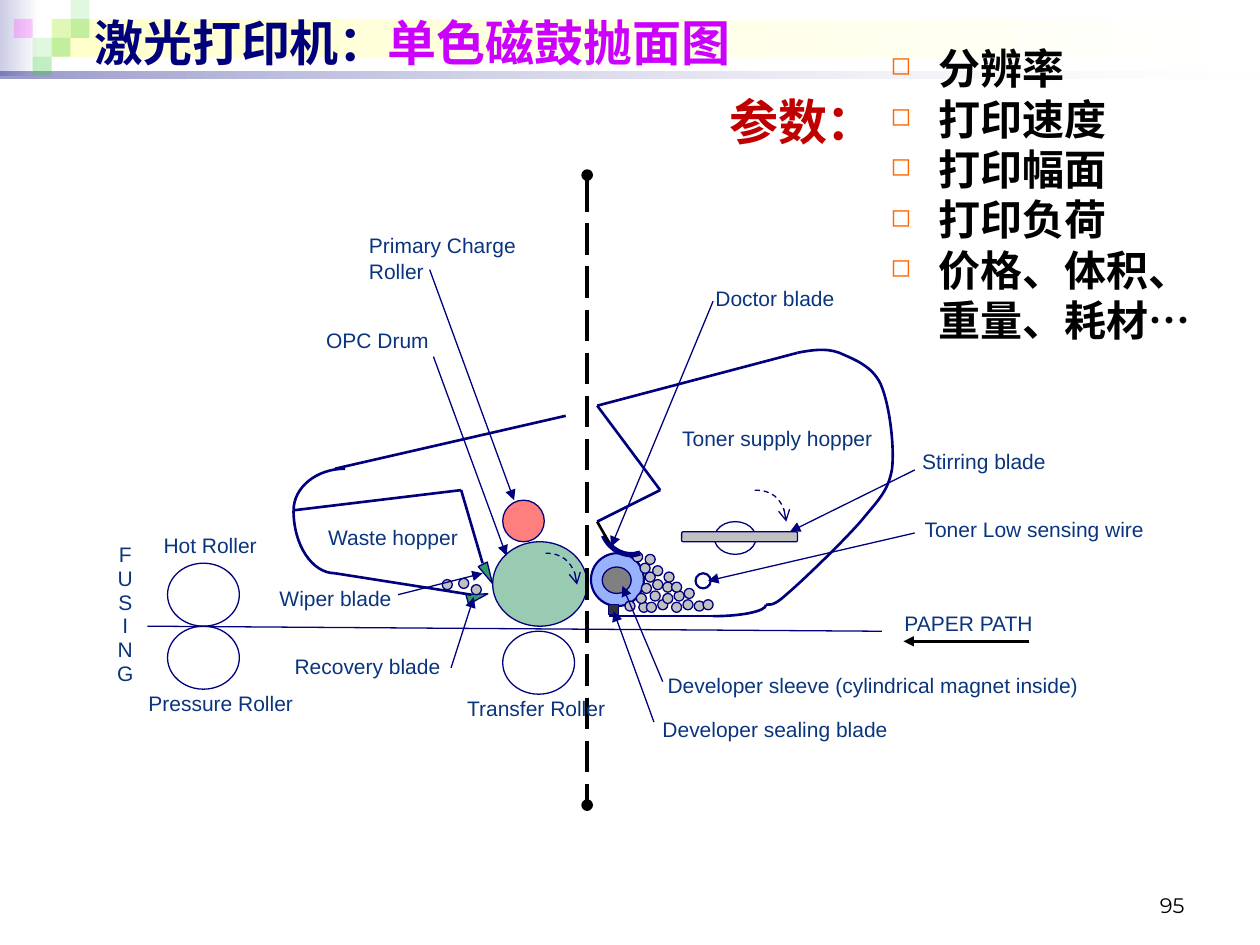
import pptx
import pptx.util
import pptx.dml.color
import pptx.enum.dml
import pptx.enum.shapes
import pptx.enum.text
from lxml import etree

Inches, Pt = pptx.util.Inches, pptx.util.Pt
SHAPE = pptx.enum.shapes.MSO_SHAPE
DASH = pptx.enum.dml.MSO_LINE
ALIGN, ANCHOR = pptx.enum.text.PP_ALIGN, pptx.enum.text.MSO_ANCHOR
CJK = "Noto Sans CJK SC"
NAVY, INK, GREY, GREEN = "00007D", "0A357E", "C0C0C0", "339966"

# Header band: gradient bars (box, stops as colour and opacity) and squares (column, row)
BARS = [((0, 0, 0.31, 0.6), [("CCCCE6", 100), ("FFFFFF", 100)]),
        ((0.41, 0.15, 9.55, 0.3), [("FFFFCC", 100), ("FFFFFF", 100)]),
        ((0, 0.57, 10, 0.05), [(NAVY, 40), ("FFFFFF", 10)])]
SQUARES = [(2, 1, "33CC33", 15), (3, 0, "33CC33", 15), (3, 1, "33CC33", 30),
           (1, 2, "33CC33", 15), (0, 1, "FF00FF", 20), (2, 2, "33CC33", 30),
           (1, 3, "33CC33", 30)]

TITLE = [("激光打印机：", NAVY), ("单色磁鼓抛面图", "CC00FF")]
PARAMETERS = ["分辨率", "打印速度", "打印幅面", "打印负荷", "价格、体积、\v重量、耗材"]

# Machine parts: shape, box, fill, opacity, line width, rotation
PARTS = [
    (SHAPE.OVAL, (3.91, 4.3, 0.75, 0.67), GREEN, 50, 0.75, 0),      # drum
    (SHAPE.OVAL, (3.99, 3.97, 0.33, 0.33), "FF0000", 50, 0.75, 0),  # charge roller
    (SHAPE.OVAL, (4.69, 4.39, 0.42, 0.42), "3366FF", 50, 1.25, 0),  # sleeve
    (SHAPE.OVAL, (4.78, 4.5, 0.23, 0.21), "808080", 100, 0.75, 0),  # magnet
    (SHAPE.OVAL, (3.99, 5.01, 0.57, 0.5), None, 100, 0.75, 0),      # transfer roller
    (SHAPE.OVAL, (1.33, 4.97, 0.57, 0.5), None, 100, 0.75, 0),      # pressure roller
    (SHAPE.OVAL, (1.33, 4.47, 0.57, 0.5), None, 100, 0.75, 0),      # hot roller
    (SHAPE.OVAL, (5.67, 4.14, 0.33, 0.26), None, 100, 0.75, 0),     # stirring shaft
    (SHAPE.ROUNDED_RECTANGLE, (5.41, 4.22, 0.92, 0.08), GREY, 100, 0.75, 0),
    (SHAPE.OVAL, (5.52, 4.55, 0.12, 0.12), None, 100, 1.25, 0),     # sensing wire
    (SHAPE.FLOWCHART_MERGE, (3.83, 4.47, 0.08, 0.17), GREEN, 100, 0.75, 333),
    (SHAPE.FLOWCHART_EXTRACT, (3.75, 4.65, 0.08, 0.17), GREEN, 100, 0.75, 74.6),
    (SHAPE.RECTANGLE, (4.83, 4.8, 0.08, 0.08), "333333", 100, 0.75, 0),
]
TONER = [(4.96, 4.77), (5.07, 4.78), (5.13, 4.78), (5.22, 4.76), (5.26, 4.71), (5.16, 4.69),
         (5.42, 4.76), (5.33, 4.78), (5.05, 4.71), (5.51, 4.77), (5.09, 4.63), (5.58, 4.76),
         (5.12, 4.54), (5.08, 4.47), (5.02, 4.38), (5.18, 4.6), (5.26, 4.62), (5.35, 4.69),
         (5.33, 4.62), (5.43, 4.67), (5.27, 4.54), (5.18, 4.49), (5.12, 4.4),
         (3.51, 4.6), (3.64, 4.59), (3.74, 4.64)]

# Curves: Bezier points (start, then three per piece), line width, turning arrow or not
CURVES = [
    ([(2.66, 4.55), (2.48, 4.55), (2.33, 4.33), (2.33, 4.05)], 1.5, False),
    ([(2.74, 3.72), (2.51, 3.72), (2.33, 3.87), (2.33, 4.05)], 1.5, False),
    ([(5.66, 4.89), (5.89, 4.89), (6.08, 4.85), (6.08, 4.8)], 1.5, False),
    ([(6.33, 2.8), (6.44, 2.78), (6.55, 2.76), (6.66, 2.8), (6.77, 2.85), (6.92, 2.9),
      (6.99, 3.05), (7.06, 3.21), (7.1, 3.54), (7.08, 3.72), (7.05, 3.9), (6.97, 3.97),
      (6.83, 4.14), (6.69, 4.3), (6.37, 4.61), (6.24, 4.72), (6.12, 4.83), (6.1, 4.79),
      (6.08, 4.8)], 1.5, False),
    ([(5.08, 4.39), (4.97, 4.43), (4.84, 4.37), (4.79, 4.25)], 3, False),
    ([(4.33, 4.39), (4.46, 4.39), (4.58, 4.5), (4.58, 4.64)], 0.75, True),
    ([(5.99, 3.89), (6.13, 3.89), (6.24, 4), (6.24, 4.14)], 0.75, True),
]
WALLS = [(3.74, 4.72, 2.66, 4.55), (2.66, 3.72, 4.49, 3.3), (4.83, 4.89, 5.66, 4.89),
         (4.74, 3.22, 6.33, 2.8), (2.33, 4.05, 3.66, 3.89), (3.83, 4.47, 3.66, 3.89),
         (4.74, 4.14, 5.24, 3.89), (5.24, 3.89, 4.74, 3.22)]
LEADERS = [(3.44, 2.83, 4.02, 4.41), (3.41, 2.14, 4.08, 3.97), (3.16, 4.72, 3.83, 4.55),
           (3.58, 5.3, 3.76, 4.74), (5.26, 5.41, 4.94, 4.65), (5.66, 2.39, 4.85, 4.34),
           (7.26, 3.73, 6.27, 4.22), (5.19, 5.73, 4.87, 4.85), (7.26, 4.23, 5.62, 4.61)]
LABELS = [("Primary Charge Roller", 2.83, 1.8, 1.5, 0.5), ("OPC Drum", 2.49, 2.55, 1.08, 0.3),
          ("Hot Roller", 1.2, 4.18, 1, 0.3), ("Pressure Roller", 1.08, 5.43, 1.42, 0.3),
          ("Transfer Roller", 3.61, 5.47, 1.33, 0.3), ("Wiper blade", 2.12, 4.6, 1.1, 0.3),
          ("Recovery blade", 2.24, 5.14, 1.5, 0.3), ("Doctor blade", 5.58, 2.22, 1.17, 0.3),
          ("Developer sleeve (cylindrical magnet inside)", 5.2, 5.29, 3.79, 0.3),
          ("Stirring blade", 7.22, 3.51, 1.33, 0.3), ("PAPER PATH", 7.08, 4.8, 1.33, 0.3),
          ("Developer sealing blade", 5.16, 5.64, 2, 0.3),
          ("Toner Low sensing wire", 7.24, 4.05, 2, 0.3)]
HOPPERS = [("Waste hopper", 2.58, 4.14, 1.08, 0.25), ("Toner supply hopper", 5.38, 3.31, 1.58, 0.33)]

prs = pptx.Presentation()
prs.slide_width, prs.slide_height = Inches(10), Inches(7.5)
s = prs.slides.add_slide(prs.slide_layouts[6])


def rgb(color):
    return pptx.dml.color.RGBColor.from_string(color)


def sub(parent, tag, **attrs):
    return etree.SubElement(parent, pptx.oxml.ns.qn("a:" + tag), attrs)


def set_alpha(fill_element, opacities):
    for color, opacity in zip(fill_element.iter(pptx.oxml.ns.qn("a:srgbClr")), opacities):
        if opacity < 100:
            sub(color, "alpha", val=str(opacity * 1000))


def style_line(sp, color, width, dash=None, head=None, tail=None):
    sp.line.color.rgb = rgb(color)
    sp.line.width = Pt(width)
    if dash:
        sp.line.dash_style = dash
    ln = sp.line._get_or_add_ln()
    for tag, kind in (("headEnd", head), ("tailEnd", tail)):
        if kind:
            sub(ln, tag, type=kind)


def add_part(kind, box, fill=None, opacity=100, width=None, rotation=0):
    sp = s.shapes.add_shape(kind, *map(Inches, box))
    sp.shadow.inherit = False
    sp.rotation = rotation
    if fill:
        sp.fill.solid()
        sp.fill.fore_color.rgb = rgb(fill)
        set_alpha(sp.fill._xPr, [opacity])
    else:
        sp.fill.background()
    if width:
        style_line(sp, NAVY, width)
    else:
        sp.line.fill.background()
    return sp


def add_line(ends, color, width, **style):
    sp = s.shapes.add_connector(pptx.enum.shapes.MSO_CONNECTOR.STRAIGHT, *map(Inches, ends))
    style_line(sp, color, width, **style)
    sub(sp._element.spPr, "effectLst")


def add_curve(points, width, arrow):
    xy = [(Inches(x), Inches(y)) for x, y in points]
    fb = s.shapes.build_freeform(*xy[0], scale=1)
    fb.add_line_segments(xy[1:], close=False)
    sp = fb.convert_to_shape()
    # Turn each three straight segments into one Bezier piece
    segments = list(sp._element.iter(pptx.oxml.ns.qn("a:lnTo")))
    outline = segments[0].getparent()
    for i in range(0, len(segments), 3):
        bezier = sub(outline, "cubicBezTo")
        for segment in segments[i:i + 3]:
            bezier.append(segment[0])
            outline.remove(segment)
    sp.shadow.inherit = False
    sp.fill.background()
    style_line(sp, NAVY, width, DASH.DASH if arrow else None, tail="arrow" if arrow else None)


def set_frame(tf, **frame):
    for name, value in frame.items():
        setattr(tf, name, value)
    return tf


def add_text(box, **frame):
    return set_frame(s.shapes.add_textbox(*map(Inches, box)).text_frame, word_wrap=True, **frame)


def style_run(r, color, **font):
    values = {"size": Pt(12), "name": "Arial", **font}
    for name, value in values.items():
        setattr(r.font, name, value)
    r.font.color.rgb = rgb(color)
    sub(r.font._element, "ea", typeface=CJK)


def fill_paragraph(p, text, color, font=None, **layout):
    p.text = text
    for name, value in layout.items():
        setattr(p, name, value)
    for r in p.runs:
        style_run(r, color, **(font or {}))


# Header band
for box, stops in BARS:
    sp = add_part(SHAPE.RECTANGLE, box)
    sp.fill.gradient()
    sp.fill.gradient_angle = 0
    for stop, (color, _), position in zip(sp.fill.gradient_stops, stops, (0, 1)):
        stop.color.rgb = rgb(color)
        stop.position = position
    set_alpha(sp.fill._xPr, [opacity for _, opacity in stops])
for col, row, color, opacity in SQUARES:
    add_part(SHAPE.RECTANGLE, (0.11 + 0.15 * col, 0.15 * row, 0.15, 0.15), color, opacity)

# Title and slide number
tf = add_text((0.65, 0.05, 9, 0.57), vertical_anchor=ANCHOR.MIDDLE)
for text, color in TITLE:
    r = tf.paragraphs[0].add_run()
    r.text = text
    style_run(r, color, size=Pt(28), bold=True)
tf = add_text((7.17, 6.83, 2.33, 0.5), vertical_anchor=ANCHOR.BOTTOM)
fill_paragraph(tf.paragraphs[0], "95", "000000", {"name": "Montserrat"}, alignment=ALIGN.RIGHT)

# Cartridge cross-section
for part in PARTS:
    add_part(*part)
for x, y in TONER:
    add_part(SHAPE.FLOWCHART_CONNECTOR, (x, y, 0.08, 0.08), GREY, width=0.75)
for curve in CURVES:
    add_curve(*curve)
for ends in WALLS:
    add_line(ends, NAVY, 1.5)
add_line((4.74, 4.14, 4.83, 4.3), "000000", 1.5)
add_line((4.66, 1.39, 4.66, 6.39), "000000", 2.25, dash=DASH.LONG_DASH, head="oval", tail="oval")
add_line((1.17, 4.97, 7, 5.01), NAVY, 0.75)
add_line((8.17, 5.09, 7.17, 5.09), "000000", 1.5, tail="triangle")
for ends in LEADERS:
    add_line(ends, NAVY, 0.75, tail="triangle")

# Labels
for text, *box in LABELS:
    fill_paragraph(add_text(box).paragraphs[0], text, INK)
for text, *box in HOPPERS:
    tf = set_frame(add_part(SHAPE.ROUNDED_RECTANGLE, box).text_frame,
                   word_wrap=False, vertical_anchor=ANCHOR.MIDDLE)
    fill_paragraph(tf.paragraphs[0], text, INK, alignment=ALIGN.CENTER)
tf = add_text((0.83, 4.3, 0.33, 1.25))
for i, letter in enumerate("FUSING"):
    p = tf.add_paragraph() if i else tf.paragraphs[0]
    fill_paragraph(p, letter, INK, alignment=ALIGN.CENTER, line_spacing=0.7,
                   space_before=Pt(3.6 if i else 0))

# Parameter list
serif = {"name": "Times New Roman", "bold": True}
tf = add_text((6.97, 0.28, 2.91, 2.6), margin_top=Inches(0.06))
for i, text in enumerate(PARAMETERS):
    p = tf.add_paragraph() if i else tf.paragraphs[0]
    fill_paragraph(p, text, "000000", {**serif, "size": Pt(24)}, line_spacing=Pt(28.8))
    pPr = p._p.get_or_add_pPr()
    pPr.set("marL", str(Inches(0.38)))
    pPr.set("indent", str(-Inches(0.38)))
    sub(sub(pPr, "buClr"), "srgbClr", val="FF6600")
    sub(pPr, "buSzPct", val="60000")
    sub(pPr, "buChar", char="◻")
r = p.add_run()
r.text = "…"
style_run(r, "000000", size=Pt(24), name=CJK, bold=True)
tf = add_text((5.16, 0.68, 1.89, 0.55), margin_top=Inches(0.05))
fill_paragraph(tf.paragraphs[0], "参数：", "C00000", {**serif, "size": Pt(28)},
               alignment=ALIGN.RIGHT, line_spacing=Pt(33.4))

prs.save("out.pptx")
